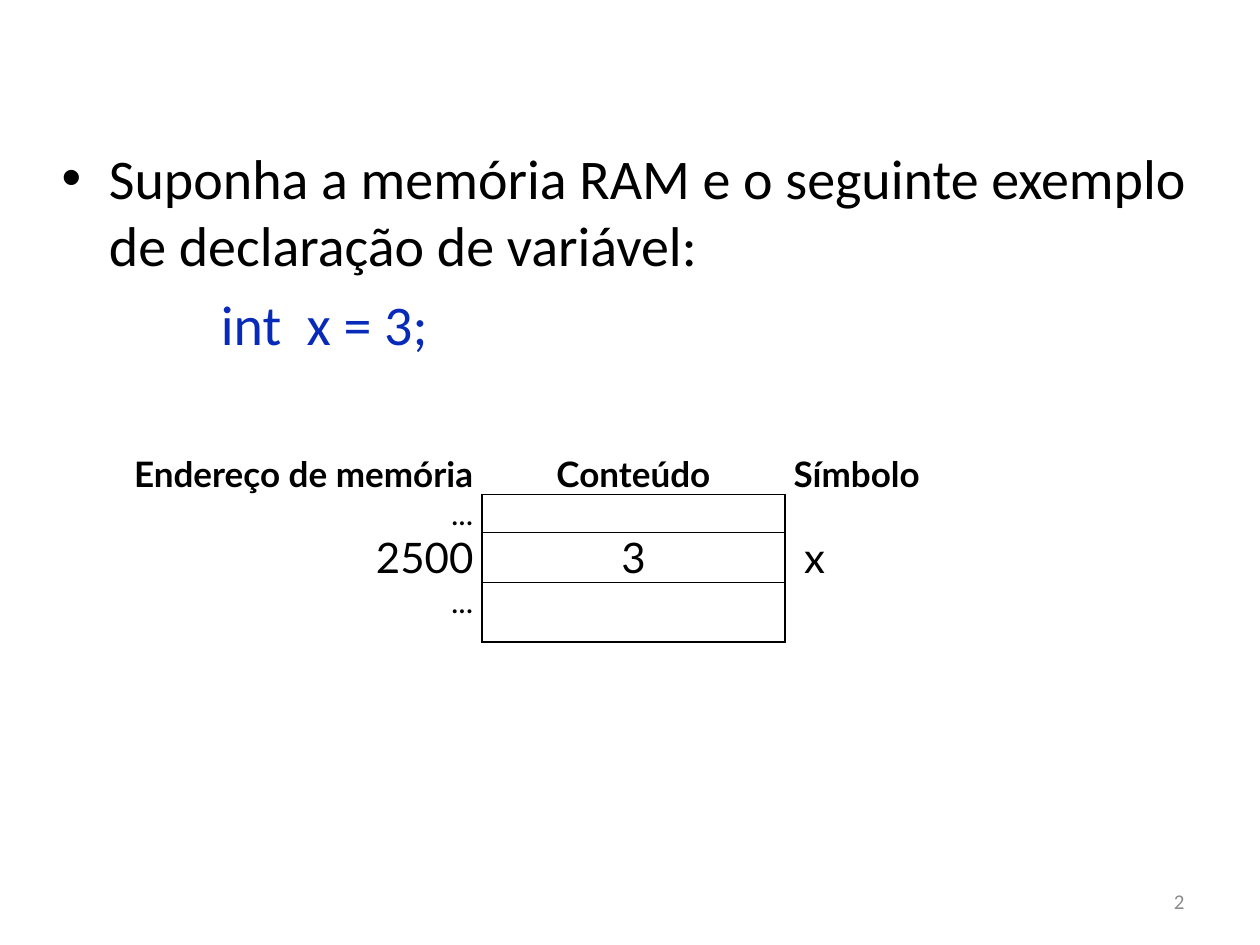
from lxml.etree import SubElement as add_element
from pptx import Presentation
from pptx.dml.color import RGBColor
from pptx.enum.text import MSO_ANCHOR as Anchor, MSO_AUTO_SIZE as AutoSize, PP_ALIGN as Align
from pptx.oxml.ns import qn
from pptx.util import Pt

BLACK = "000000"
CODE_BLUE = "082AB8"
NUMBER_GRAY = "8C8C8C"
NO_STYLE = "{2D5ABB26-0587-4C30-8999-92F81FD0307C}"

COLUMN_WIDTHS = [236, 173, 204.5]
ROW_HEIGHTS = [24, 21.5, 28.8, 34]
COLUMN_ALIGNS = [Align.RIGHT, Align.CENTER, Align.LEFT]
ROW_SIZES = [20, 18, 24, 18]
MEMORY_ROWS = [
    ["Endereço de memória", "Conteúdo", "Símbolo"],
    ["...", "", ""],
    ["2500", "3", "x"],
    ["...", "", ""],
]


def format_runs(para, font, size, color, bold=False):
    for span in para.runs:
        span.font.name = font
        span.font.size = Pt(size)
        span.font.bold = bold
        span.font.color.rgb = RGBColor.from_string(color)


def place(shape, left, top, width, height):
    shape.left, shape.top = Pt(left), Pt(top)
    shape.width, shape.height = Pt(width), Pt(height)


def fill_body(box):
    place(box, 28, 78.5, 658, 309.5)
    frame = box.text_frame
    frame.auto_size = AutoSize.NONE
    frame.text = "Suponha a memória RAM e o seguinte exemplo de declaração de variável:"
    format_runs(frame.paragraphs[0], "Calibri", 32, BLACK)

    code = frame.add_paragraph()
    code.text = "int  x = 3;"
    code.level = 1
    code.space_before = Pt(6.4)
    properties = code._p.get_or_add_pPr()
    properties.set("marL", str(Pt(58.5)))
    properties.set("indent", str(Pt(32.5)))
    add_element(properties, qn("a:buNone"))
    format_runs(code, "Calibri", 32, CODE_BLUE)


def add_page_number(page, number):
    box = page.shapes.add_textbox(Pt(516), Pt(500.5), Pt(168), Pt(29))
    frame = box.text_frame
    frame.word_wrap = True
    frame.vertical_anchor = Anchor.MIDDLE
    frame.text = str(number)
    para = frame.paragraphs[0]
    para.alignment = Align.RIGHT
    format_runs(para, "Calibri", 12, NUMBER_GRAY)


def add_border(cell, sides):
    properties = cell._tc.get_or_add_tcPr()
    for side in sides:
        line = add_element(properties, qn(f"a:ln{side}"), w=str(Pt(1)))
        fill = add_element(line, qn("a:solidFill"))
        add_element(fill, qn("a:srgbClr"), val=BLACK)


def fill_cell(cell, text, align, size, bold):
    cell.margin_left = cell.margin_right = Pt(5)
    cell.margin_top = cell.margin_bottom = 0
    cell.text = text
    para = cell.text_frame.paragraphs[0]
    para.alignment = align
    format_runs(para, "Lato", size, BLACK, bold)


def add_memory_table(page):
    frame = page.shapes.add_table(
        len(ROW_HEIGHTS), len(COLUMN_WIDTHS),
        Pt(39.5), Pt(258.5), Pt(sum(COLUMN_WIDTHS)), Pt(sum(ROW_HEIGHTS)))
    table = frame.table
    table.first_row = table.horz_banding = False
    frame._element.find(".//" + qn("a:tableStyleId")).text = NO_STYLE
    for column, width in zip(table.columns, COLUMN_WIDTHS):
        column.width = Pt(width)
    for row, height in zip(table.rows, ROW_HEIGHTS):
        row.height = Pt(height)

    for r, texts in enumerate(MEMORY_ROWS):
        for c, text in enumerate(texts):
            cell = table.cell(r, c)
            fill_cell(cell, text, COLUMN_ALIGNS[c], ROW_SIZES[r], r == 0)
            if c == 1:
                add_border(cell, "LRTB" if r else "B")
            elif c == 2 and r:
                add_border(cell, "L")
            cell.fill.background()
    table.cell(2, 2).margin_left = Pt(11)


def main():
    deck = Presentation()
    deck.slide_width, deck.slide_height = Pt(720), Pt(540)
    page = deck.slides.add_slide(deck.slide_layouts[1])
    title = page.shapes.title._element
    title.getparent().remove(title)
    fill_body(page.placeholders[1])
    add_page_number(page, 2)
    add_memory_table(page)
    deck.save("out.pptx")


if __name__ == "__main__":
    main()
